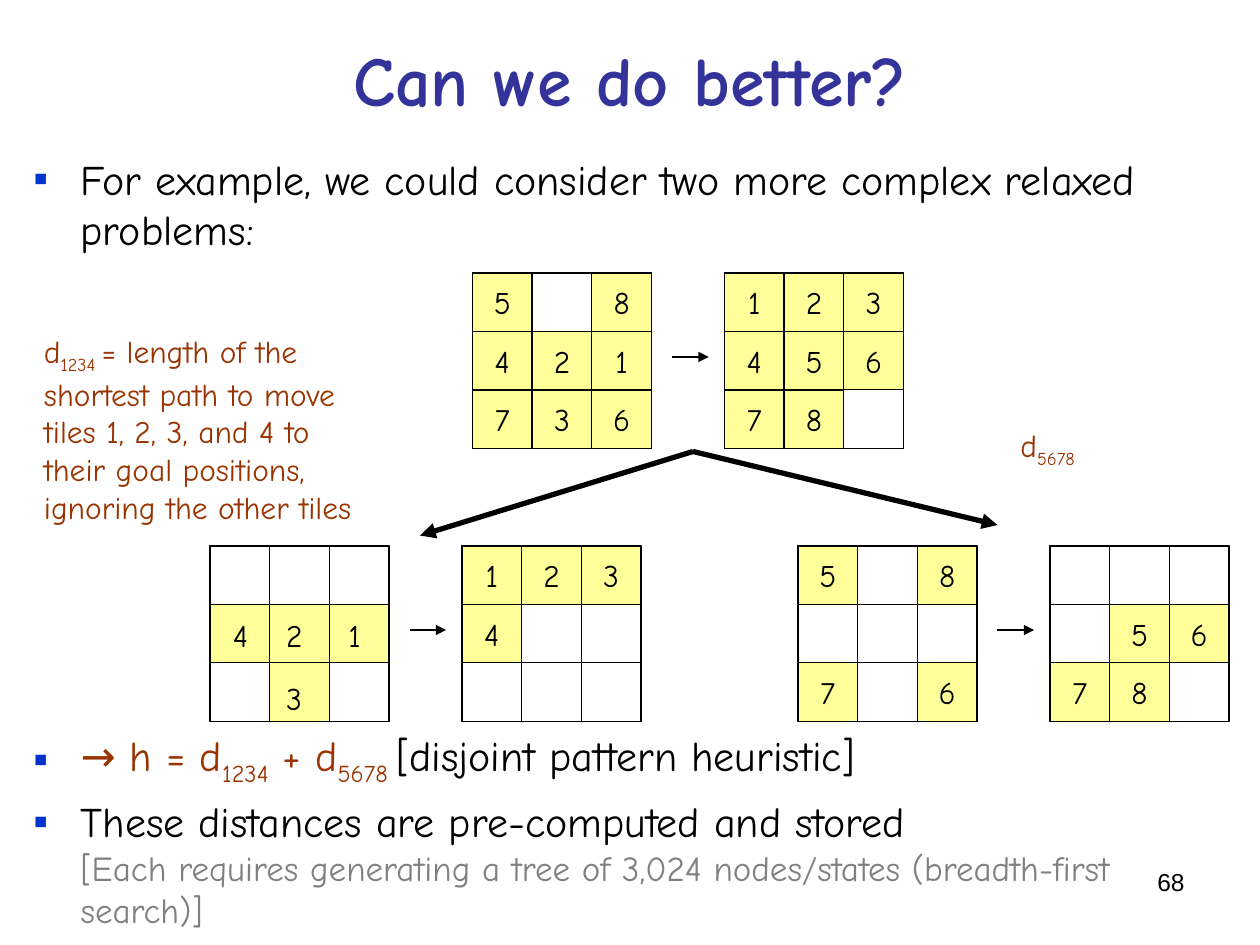
from dataclasses import dataclass
from itertools import product
from typing import Any, NamedTuple

from lxml.etree import SubElement
from pptx import Presentation
from pptx.dml.color import RGBColor
from pptx.enum.shapes import MSO_CONNECTOR, MSO_SHAPE
from pptx.enum.text import MSO_ANCHOR, PP_ALIGN
from pptx.oxml.ns import qn
from pptx.util import Pt


@dataclass(frozen=True)
class Theme:
    font: str = "Comic Neue"
    number_font: str = "Arial"
    black: RGBColor = RGBColor(0, 0, 0)
    white: RGBColor = RGBColor(255, 255, 255)
    tile: RGBColor = RGBColor(0xFF, 0xFF, 0x99)
    title: RGBColor = RGBColor(0x33, 0x33, 0x99)
    accent: RGBColor = RGBColor(0x99, 0x33, 0x00)
    muted: RGBColor = RGBColor(0x80, 0x80, 0x80)
    bullet: str = "0033CC"
    title_size: float = 40
    body_size: float = 24
    detail_size: float = 20
    label_size: float = 18
    number_size: float = 14
    thin: float = 0.75
    thick: float = 3


THEME = Theme()


class Box(NamedTuple):
    left: float
    top: float
    width: float
    height: float


class Span(NamedTuple):
    text: str
    color: RGBColor = THEME.black
    size: float = THEME.label_size
    subscript: bool = False
    bold: bool = False
    font: str = THEME.font


class Bullet(NamedTuple):
    spans: list[Span]
    space_before: float


class Puzzle(NamedTuple):
    left: float
    top: float
    rows: tuple[str, str, str]


class Label(NamedTuple):
    text: str
    box: Box


TILE_WIDTH, TILE_HEIGHT = 34.1, 33.4
PAIR_STEP = 144
ARROW_START, ARROW_END, ARROW_DROP = 114, 135, 48
FORK = (396, 258)
EMPTY, WHITE, YELLOW = " ", ".", "*"


def apply_format(target: Any, values: dict[str, Any]) -> None:
    for name, value in values.items():
        setattr(target, name, value)


def add_spans(paragraph: Any, spans: list[Span]) -> None:
    for span in spans:
        if span.text == "\n":
            paragraph.add_line_break()
            continue
        run = paragraph.add_run()
        run.text = span.text
        apply_format(run.font, {"name": span.font, "size": Pt(span.size), "bold": span.bold})
        run.font.color.rgb = span.color
        if span.subscript:
            run._r.get_or_add_rPr().set("baseline", "-25000")


def add_text(shapes: Any, box: Box, lines: list[list[Span]],
             alignment: Any = PP_ALIGN.LEFT, anchor: Any = MSO_ANCHOR.TOP) -> Any:
    shape = shapes.add_textbox(*map(Pt, box))
    frame = shape.text_frame
    apply_format(frame, {"word_wrap": True, "vertical_anchor": anchor})
    for index, spans in enumerate(lines):
        paragraph = frame.add_paragraph() if index else frame.paragraphs[0]
        paragraph.alignment = alignment
        add_spans(paragraph, spans)
    return shape


def add_bullets(shapes: Any, box: Box, bullets: list[Bullet]) -> None:
    shape = add_text(shapes, box, [bullet.spans for bullet in bullets])
    for paragraph, bullet in zip(shape.text_frame.paragraphs, bullets):
        paragraph.space_before = Pt(bullet.space_before)
        properties = paragraph._p.get_or_add_pPr()
        properties.set("marL", str(Pt(27)))
        properties.set("indent", str(Pt(-27)))
        color = SubElement(properties, qn("a:buClr"))
        SubElement(color, qn("a:srgbClr"), val=THEME.bullet)
        SubElement(properties, qn("a:buFont"), typeface=THEME.number_font)
        SubElement(properties, qn("a:buChar"), char="▪")


def add_rectangle(shapes: Any, box: Box, fill: RGBColor | None) -> Any:
    shape = shapes.add_shape(MSO_SHAPE.RECTANGLE, *map(Pt, box))
    shape.shadow.inherit = False
    if fill is None:
        shape.fill.background()
    else:
        shape.fill.solid()
        shape.fill.fore_color.rgb = fill
    shape.line.color.rgb = THEME.black
    shape.line.width = Pt(THEME.thin)
    return shape


def add_puzzle(shapes: Any, puzzle: Puzzle) -> None:
    add_rectangle(shapes, Box(puzzle.left, puzzle.top, 3 * TILE_WIDTH, 3 * TILE_HEIGHT), None)
    for row, column in product(range(3), repeat=2):
        mark = puzzle.rows[row][column]
        if mark == EMPTY:
            continue
        box = Box(puzzle.left + column * TILE_WIDTH, puzzle.top + row * TILE_HEIGHT,
                  TILE_WIDTH, TILE_HEIGHT)
        tile = add_rectangle(shapes, box, THEME.white if mark == WHITE else THEME.tile)
        if mark.isdigit():
            frame = tile.text_frame
            apply_format(frame, {"word_wrap": False, "vertical_anchor": MSO_ANCHOR.MIDDLE})
            frame.paragraphs[0].alignment = PP_ALIGN.CENTER
            add_spans(frame.paragraphs[0], [Span(mark)])


def add_arrow(shapes: Any, start: tuple[float, float], end: tuple[float, float],
              width: float) -> None:
    connector = shapes.add_connector(MSO_CONNECTOR.STRAIGHT, *map(Pt, (*start, *end)))
    connector.line.color.rgb = THEME.black
    connector.line.width = Pt(width)
    properties = connector._element.spPr
    SubElement(properties.get_or_add_ln(), qn("a:tailEnd"), type="triangle")
    SubElement(properties, qn("a:effectLst"))


def add_pair(slide: Any, left: float, top: float, start: tuple[str, str, str],
             goal: tuple[str, str, str], fork_end: tuple[float, float] | None = None) -> Any:
    shapes = slide.shapes.add_group_shape().shapes
    add_puzzle(shapes, Puzzle(left, top, start))
    add_puzzle(shapes, Puzzle(left + PAIR_STEP, top, goal))
    middle = top + ARROW_DROP
    add_arrow(shapes, (left + ARROW_START, middle), (left + ARROW_END, middle), THEME.thin)
    if fork_end:
        add_arrow(shapes, FORK, fork_end, THEME.thick)
    return shapes


def main() -> None:
    presentation = Presentation()
    apply_format(presentation, {"slide_width": Pt(720), "slide_height": Pt(540)})
    slide = presentation.slides.add_slide(presentation.slide_layouts[6])
    shapes = slide.shapes

    add_text(shapes, Box(516, 492, 168, 37),
             [[Span("68", size=THEME.number_size, font=THEME.number_font)]], PP_ALIGN.RIGHT)
    size = THEME.body_size
    add_bullets(shapes, Box(12, 84, 678, 452), [
        Bullet([Span("For example, we could consider two more complex relaxed problems:",
                     size=size)], 0),
        Bullet([Span("→ h = d", THEME.accent, size), Span("1234", THEME.accent, size, True),
                Span(" + d", THEME.accent, size), Span("5678 ", THEME.accent, size, True),
                Span("[disjoint pattern heuristic]", size=size)], 272),
        Bullet([Span("These distances are pre-computed and stored", size=size), Span("\n"),
                Span("[Each requires generating a tree of 3,024 nodes/states "
                     "(breadth-first search)]", THEME.muted, THEME.detail_size)], 4.8),
    ])
    add_text(shapes, Box(36, 0, 648, 90),
             [[Span("Can we do better?", THEME.title, THEME.title_size, bold=True)]],
             PP_ALIGN.CENTER, MSO_ANCHOR.MIDDLE)

    add_pair(slide, 270, 156, ("5 8", "421", "736"), ("123", "456", "78 "))
    left_shapes = add_pair(slide, 120, 312, (". .", "***", ".*."), ("123", "4..", ".. "), (240, 306))
    for label in (Label("4", Box(126, 348.5, 25, 29)), Label("2", Box(156.5, 348.5, 25, 29)),
                  Label("1", Box(192, 348.5, 22, 29)), Label("3", Box(156.5, 384.5, 25, 29))):
        add_text(left_shapes, label.box, [[Span(label.text)]])
    right_shapes = add_pair(slide, 456, 312, ("5 8", "...", "7.6"), ("...", ".56", "78 "), (570, 300))
    add_text(right_shapes, Box(576, 240, 55, 29),
             [[Span("d", THEME.accent), Span("5678", THEME.accent, subscript=True)]])

    definition = ["shortest path to move", "tiles 1, 2, 3, and 4 to",
                  "their goal positions,", "ignoring the other tiles"]
    first_line = [Span("d", THEME.accent), Span("1234 ", THEME.accent, subscript=True),
                  Span("= length of the", THEME.accent)]
    add_text(shapes, Box(18, 186, 215, 115),
             [first_line, *([Span(line, THEME.accent)] for line in definition)])
    presentation.save("out.pptx")


if __name__ == "__main__":
    main()
